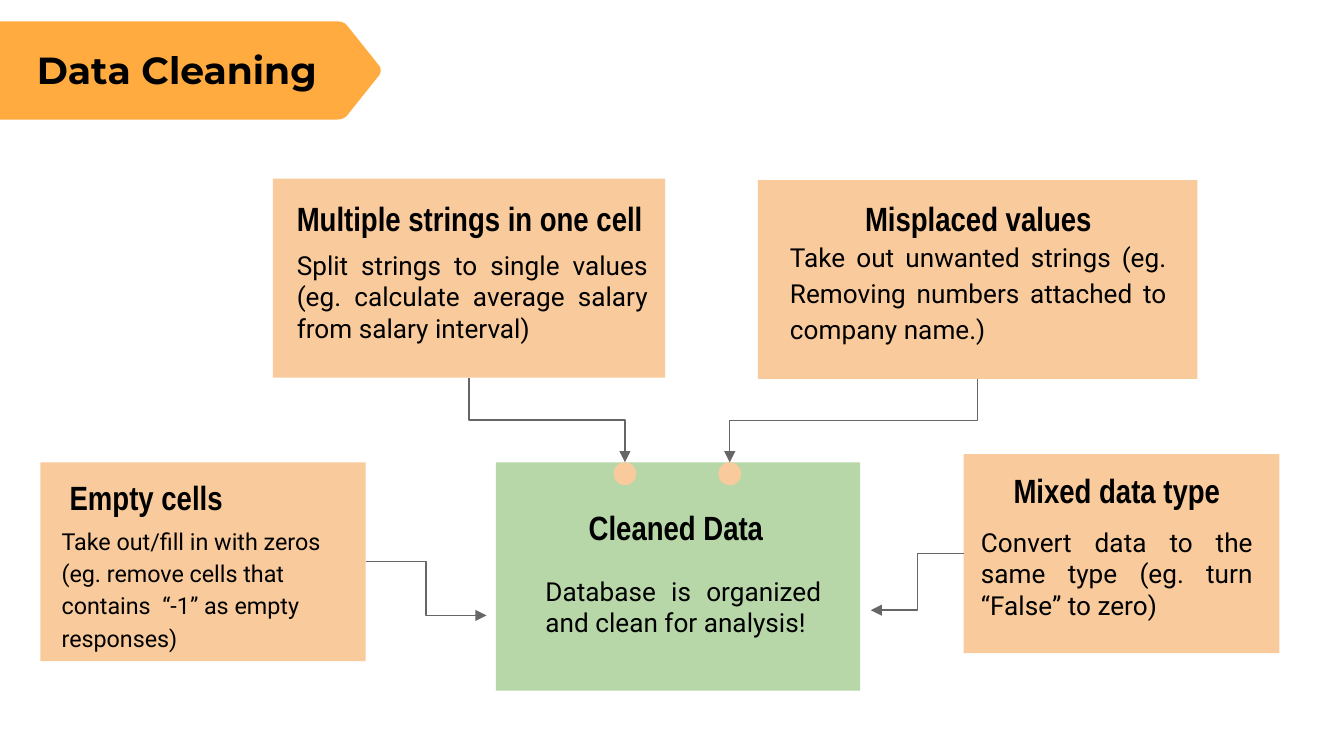
from lxml import etree
from pptx import Presentation
from pptx.dml.color import RGBColor
from pptx.enum.shapes import MSO_CONNECTOR, MSO_SHAPE
from pptx.enum.text import MSO_ANCHOR, PP_ALIGN
from pptx.oxml.ns import qn
from pptx.util import Inches, Pt

RECT, OVAL = MSO_SHAPE.RECTANGLE, MSO_SHAPE.OVAL
ELBOW = MSO_CONNECTOR.ELBOW
MIDDLE = MSO_ANCHOR.MIDDLE
LEFT, CENTER, JUSTIFY = PP_ALIGN.LEFT, PP_ALIGN.CENTER, PP_ALIGN.JUSTIFY

BLACK = RGBColor(0x00, 0x00, 0x00)
GRAY = RGBColor(0x66, 0x66, 0x66)
ORANGE = RGBColor(0xFF, 0xAB, 0x40)
PEACH = RGBColor(0xF9, 0xCB, 0x9C)
GREEN = RGBColor(0xB7, 0xD7, 0xA8)

HEADING = dict(name="Arial Narrow", size=Pt(18), bold=True)
BODY = dict(name="Roboto", size=Pt(14))
SMALL_BODY = dict(name="Roboto", size=Pt(12.5))
TITLE = dict(name="Montserrat", size=Pt(20.2), bold=True)

SLIDE_W = 10
SLIDE_H = SLIDE_W * 9 / 16
CARD_H = 1.48
DOT = 0.17

# Boxes are left, top, width, height; heading and body boxes are relative to the card.
CLEANED = dict(
    box=(3.69, 3.44, 2.71, 1.7), fill=GREEN,
    heading=("Cleaned Data", (0.32, 0.3, 2.04, 0.36), CENTER),
    body=("Database is organized and clean for analysis!",
          (0.27, 0.68, 2.25, 0.79), JUSTIFY, BODY, 1))
PROBLEMS = [
    dict(box=(2.03, 1.33, 2.92, CARD_H), fill=PEACH,
         heading=("Multiple strings in one cell", (0.08, 0.11, 2.81, 0.36), LEFT),
         body=("Split strings to single values (eg. calculate average salary "
               "from salary interval)", (0.08, 0.48, 2.81, 0.79), JUSTIFY, BODY, 1)),
    dict(box=(5.64, 1.34, 3.27, CARD_H), fill=PEACH,
         heading=("Misplaced values", (0.14, 0.15, 3, 0.27), CENTER),
         body=("Take out unwanted strings (eg. Removing numbers attached to "
               "company name.)", (0.14, 0.35, 3, 0.94), JUSTIFY, BODY, 1.15)),
    dict(box=(0.3, 3.44, 2.42, CARD_H), fill=PEACH,
         heading=("Empty cells", (0.12, 0.08, 2.3, 0.36), LEFT),
         body=("Take out/fill in with zeros (eg. remove cells that contains  "
               "“-1” as empty responses)",
               (0.06, 0.49, 2.35, 0.88), LEFT, SMALL_BODY, 1.15)),
    dict(box=(7.17, 3.38, 2.35, CARD_H), fill=PEACH,
         heading=("Mixed data type", (0.03, 0.09, 2.22, 0.36), CENTER),
         body=("Convert data to the same type (eg. turn “False” to zero)",
               (0.03, 0.49, 2.22, 0.79), JUSTIFY, BODY, 1)),
]


def paint(sp, color):
    sp.shadow.inherit = False
    sp.fill.solid()
    sp.fill.fore_color.rgb = color
    sp.line.fill.background()


def add_block(s, kind, box, color):
    paint(s.shapes.add_shape(kind, *map(Inches, box)), color)


def add_text(s, text, box, align, font, spacing=1):
    tf = s.shapes.add_textbox(*map(Inches, box)).text_frame
    tf.word_wrap = True
    tf.vertical_anchor = MIDDLE
    for side in ("left", "top", "right", "bottom"):
        setattr(tf, f"margin_{side}", Inches(0.1))
    p = tf.paragraphs[0]
    p.alignment = align
    p.line_spacing = spacing
    r = p.add_run()
    r.text = text
    for key, value in font.items():
        setattr(r.font, key, value)
    r.font.color.rgb = BLACK


def add_card(s, box, fill, heading, body):
    x, y = box[:2]
    add_block(s, RECT, box, fill)
    for (text, (dx, dy, w, h), *style) in (heading + (HEADING,), body):
        add_text(s, text, (x + dx, y + dy, w, h), *style)


def add_arrow(s, start, end, vertical=False):
    """Elbow arrow; a vertical one leaves downwards, as a turned horizontal elbow."""
    (x1, y1), (x2, y2) = start, end
    turn = 0
    if vertical:
        cx, cy = (x1 + x2) / 2, (y1 + y2) / 2
        half_w, half_h = (y2 - y1) / 2, abs(x2 - x1) / 2
        turn = 270 if x2 > x1 else 90
        if x2 > x1:
            half_w = -half_w
        x1, y1, x2, y2 = cx - half_w, cy - half_h, cx + half_w, cy + half_h
    c = s.shapes.add_connector(ELBOW, *map(Inches, (x1, y1, x2, y2)))
    c.line.color.rgb = GRAY
    c.line.width = Pt(0.75)
    sp_pr = c._element.spPr
    if turn:
        sp_pr.find(qn("a:xfrm")).set("rot", str(turn * 60000))
    etree.SubElement(c.line._get_or_add_ln(), qn("a:tailEnd"), type="triangle")
    etree.SubElement(sp_pr, qn("a:effectLst"))


def curve(a, b, c, d, steps=8):
    """Points along a cubic Bezier curve."""
    return [tuple((1 - t) ** 3 * i + 3 * (1 - t) ** 2 * t * j
                  + 3 * (1 - t) * t ** 2 * k + t ** 3 * m
                  for i, j, k, m in zip(a, b, c, d))
            for t in (n / steps for n in range(steps + 1))]


def add_title_tag(s, box, text):
    x, y, w, h = box
    right, middle, bottom = x + w, y + h / 2, y + h
    corner, slope, tip = right - 0.33, right - 0.25, right - 0.03
    top_corner = curve((slope, y + 0.04), (slope - 0.02, y + 0.01),
                       (corner + 0.03, y), (corner, y))
    point = curve((tip, middle + 0.05), (right, middle + 0.02),
                  (right, middle - 0.02), (tip, middle - 0.05))
    low_corner = [(px, y + bottom - py) for px, py in reversed(top_corner)]
    outline = [(x, y), (x, bottom)] + low_corner + point + top_corner
    emu = [(Inches(px), Inches(py)) for px, py in outline]
    fb = s.shapes.build_freeform(*emu[0])
    fb.add_line_segments(emu[1:], close=True)
    paint(fb.convert_to_shape(), ORANGE)
    add_text(s, text, (x + 0.16, y + 0.09, 2.71, 0.53), CENTER, TITLE)


def add_flow(s):
    add_card(s, **CLEANED)
    x, y, w, h = CLEANED["box"]
    dots = [x + 0.96, x + w - 0.97]
    for cx in dots:
        add_block(s, OVAL, (cx - DOT / 2, y, DOT, DOT), PEACH)
    for card in PROBLEMS:
        add_card(s, **card)

    upper, lower = PROBLEMS[:2], PROBLEMS[2:]
    for card, cx in zip(upper, dots):
        left, top, width, height = card["box"]
        add_arrow(s, (left + width / 2, top + height), (cx, y), vertical=True)
    (left, top, width, height), (right, right_top, *_) = [c["box"] for c in lower]
    add_arrow(s, (left + width, top + height / 2), (x - 0.07, y + 1.14))
    add_arrow(s, (right, right_top + height / 2), (x + w + 0.08, y + 1.1))


def main():
    prs = Presentation()
    prs.slide_width, prs.slide_height = Inches(SLIDE_W), Inches(SLIDE_H)
    s = prs.slides.add_slide(prs.slide_layouts[6])
    add_flow(s)
    add_title_tag(s, (-0.2, 0.16, 3.04, 0.73), "Data Cleaning")
    prs.save("out.pptx")


if __name__ == "__main__":
    main()
